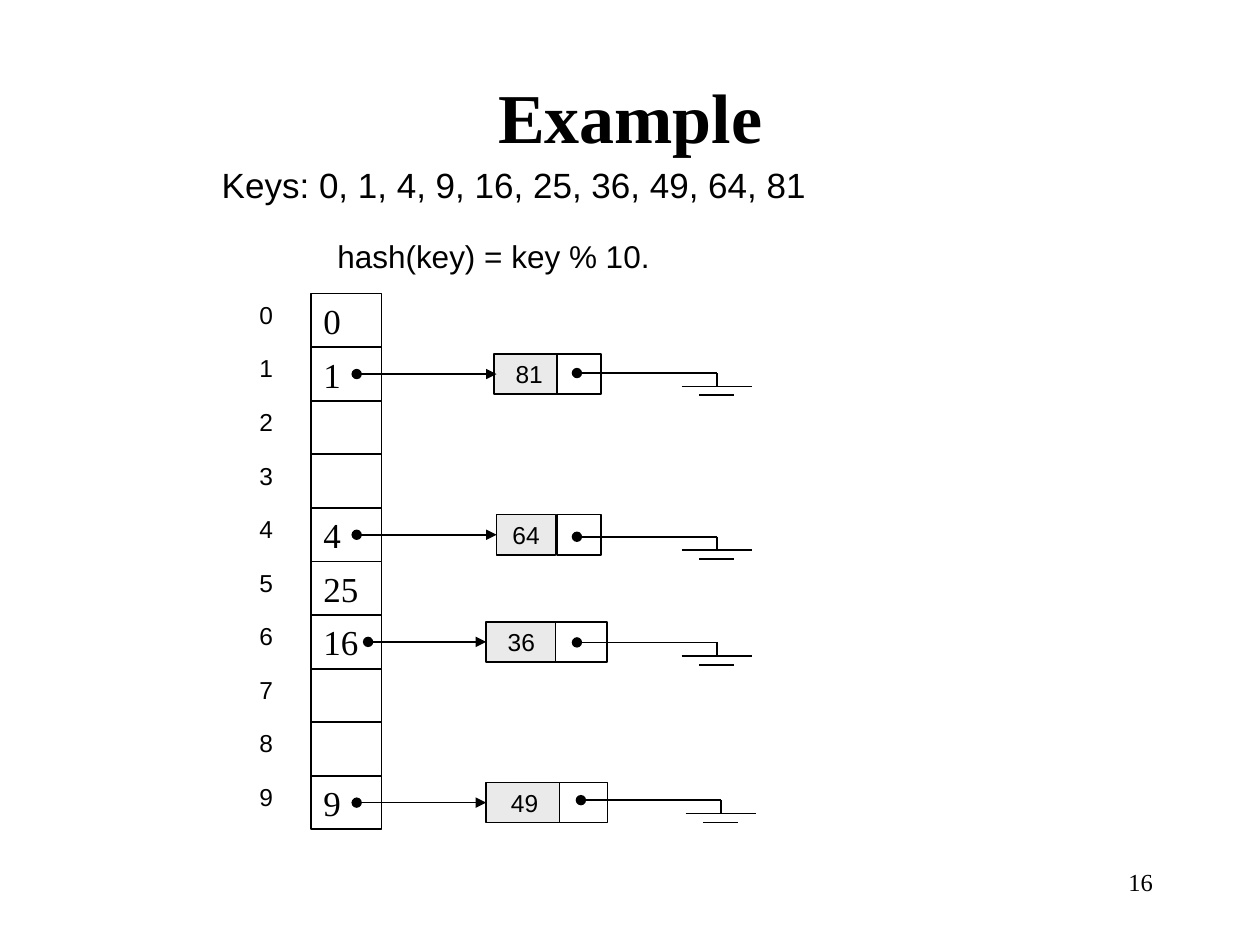
"""Builds the hash table slide that resolves collisions by separate chaining."""
from dataclasses import dataclass

from lxml import etree
from pptx import Presentation
from pptx.dml.color import RGBColor
from pptx.enum import shapes, text
from pptx.oxml import ns
from pptx.util import Cm, Pt


@dataclass(frozen=True)
class Theme:
    ink: RGBColor = RGBColor(0, 0, 0)
    paper: RGBColor = RGBColor(255, 255, 255)
    key_fill: RGBColor = RGBColor(0xEA, 0xEA, 0xEA)
    serif: str = "Times New Roman"
    sans: str = "Arial"
    title: int = 40
    large: int = 20
    medium: int = 18
    small: int = 14
    line: int = 1


@dataclass(frozen=True)
class Chain:
    row: int
    key: str
    start: float
    key_left: float
    key_width: float
    next_left: float
    next_width: float
    link_left: float
    link_y: float


THEME = Theme()
LEFT, TOP, WIDTH, ROW = 6.27, 5.92, 1.42, 1.08
NODE_HEIGHT = 0.81
SLOTS = ["0", "1", "", "", "4", "25", "16", "", "", "9"]
CHAINS = [
    Chain(1, "81", 7.19, 9.96, 1.42, 11.23, 0.89, 11.63, 7.52),
    Chain(4, "64", 7.19, 10.01, 1.19, 11.23, 0.89, 11.63, 10.82),
    Chain(6, "36", 7.42, 9.8, 1.42, 11.2, 1.04, 11.63, 12.95),
    Chain(9, "49", 7.19, 9.8, 1.55, 11.28, 0.97, 11.71, 16.13),
]


def write(shape, words, size, font, align=text.PP_ALIGN.LEFT, bold=False):
    frame = shape.text_frame
    frame.word_wrap = True
    frame.text = words
    paragraph = frame.paragraphs[0]
    paragraph.alignment = align
    for run in paragraph.runs:
        run.font.size = Pt(size)
        run.font.name = font
        run.font.bold = bold
        run.font.color.rgb = THEME.ink


def add_title(slide, words):
    title = slide.shapes.title
    title.left, title.top, title.width, title.height = Cm(1.91), Cm(1.27), Cm(21.59), Cm(2.12)
    write(title, words, THEME.title, THEME.serif, text.PP_ALIGN.CENTER, True)
    title.text_frame.auto_size = text.MSO_AUTO_SIZE.NONE
    title.text_frame.vertical_anchor = text.MSO_ANCHOR.MIDDLE


def add_label(slide, words, left, top, width, height, size, font=THEME.sans,
              align=text.PP_ALIGN.LEFT):
    box = slide.shapes.add_textbox(Cm(left), Cm(top), Cm(width), Cm(height))
    write(box, words, size, font, align)


def add_cell(slide, words, left, top, width, height, size, font,
             fill=THEME.paper, align=text.PP_ALIGN.LEFT):
    cell = slide.shapes.add_shape(
        shapes.MSO_SHAPE.RECTANGLE, Cm(left), Cm(top), Cm(width), Cm(height))
    cell.shadow.inherit = False
    cell.fill.solid()
    cell.fill.fore_color.rgb = fill
    cell.line.color.rgb = THEME.ink
    cell.line.width = Pt(THEME.line)
    if words:
        write(cell, words, size, font, align)
        cell.text_frame.vertical_anchor = text.MSO_ANCHOR.MIDDLE


def add_line(slide, x1, y1, x2, y2, head=None, tail=None):
    line = slide.shapes.add_connector(
        shapes.MSO_CONNECTOR.STRAIGHT, Cm(x1), Cm(y1), Cm(x2), Cm(y2))
    line.line.color.rgb = THEME.ink
    line.line.width = Pt(THEME.line)
    outline = line.line._get_or_add_ln()
    for tag, kind in (("a:headEnd", head), ("a:tailEnd", tail)):
        if kind:
            etree.SubElement(outline, ns.qn(tag), type=kind)
    etree.SubElement(line._element.spPr, ns.qn("a:effectLst"))


def add_table_slots(slide):
    for index, value in enumerate(SLOTS):
        top = TOP + index * ROW
        add_label(slide, str(index), 4.98, top, 0.79, 0.86, THEME.small)
        add_cell(slide, value, LEFT, top, WIDTH, ROW, THEME.large, THEME.serif)


def add_null_link(slide, left, y):
    """Draws the empty pointer as a wire that ends in a ground symbol."""
    ground_x, ground_y = left + 2.82, y + 0.27
    add_line(slide, left, y, ground_x, y, head="oval")
    add_line(slide, ground_x, y, ground_x, ground_y)
    for half, drop in ((0.71, 0), (0.35, 0.18)):
        add_line(slide, ground_x - half, ground_y + drop, ground_x + half, ground_y + drop)


def add_chain(slide, chain):
    middle = TOP + (chain.row + 0.5) * ROW
    top = middle - NODE_HEIGHT / 2
    add_cell(slide, chain.key, chain.key_left, top, chain.key_width, NODE_HEIGHT,
             THEME.small, THEME.sans, THEME.key_fill, text.PP_ALIGN.CENTER)
    add_cell(slide, "", chain.next_left, top, chain.next_width, NODE_HEIGHT,
             THEME.small, THEME.sans)
    arrow_end = max(chain.key_left, 10.01) if chain.row < 5 else chain.key_left
    add_line(slide, chain.start, middle, arrow_end, middle, "oval", "triangle")
    add_null_link(slide, chain.link_left, chain.link_y)


def main():
    presentation = Presentation()
    presentation.slide_width, presentation.slide_height = Cm(25.4), Cm(19.05)
    slide = presentation.slides.add_slide(presentation.slide_layouts[5])
    add_title(slide, "Example")
    add_label(slide, "Keys: 0, 1, 4, 9, 16, 25, 36, 49, 64, 81",
              4.22, 3.18, 16.1, 1.12, THEME.large)
    add_label(slide, "hash(key) = key % 10.", 6.55, 4.65, 6.99, 1.02, THEME.medium)
    add_table_slots(slide)
    for chain in CHAINS:
        add_chain(slide, chain)
    add_label(slide, "16", 18.21, 17.35, 5.28, 1.27, THEME.small, THEME.serif,
              text.PP_ALIGN.RIGHT)
    presentation.save("out.pptx")


if __name__ == "__main__":
    main()
